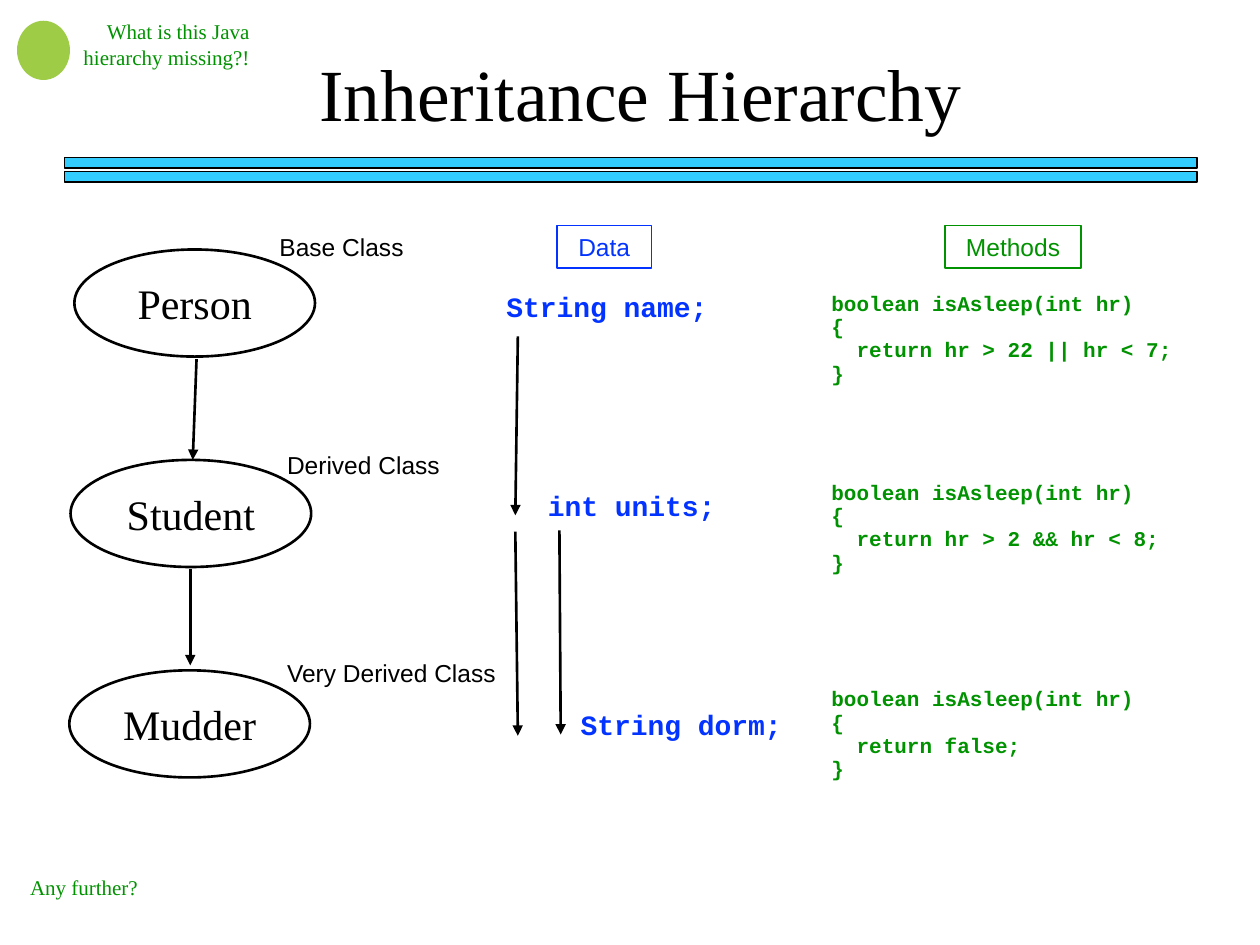
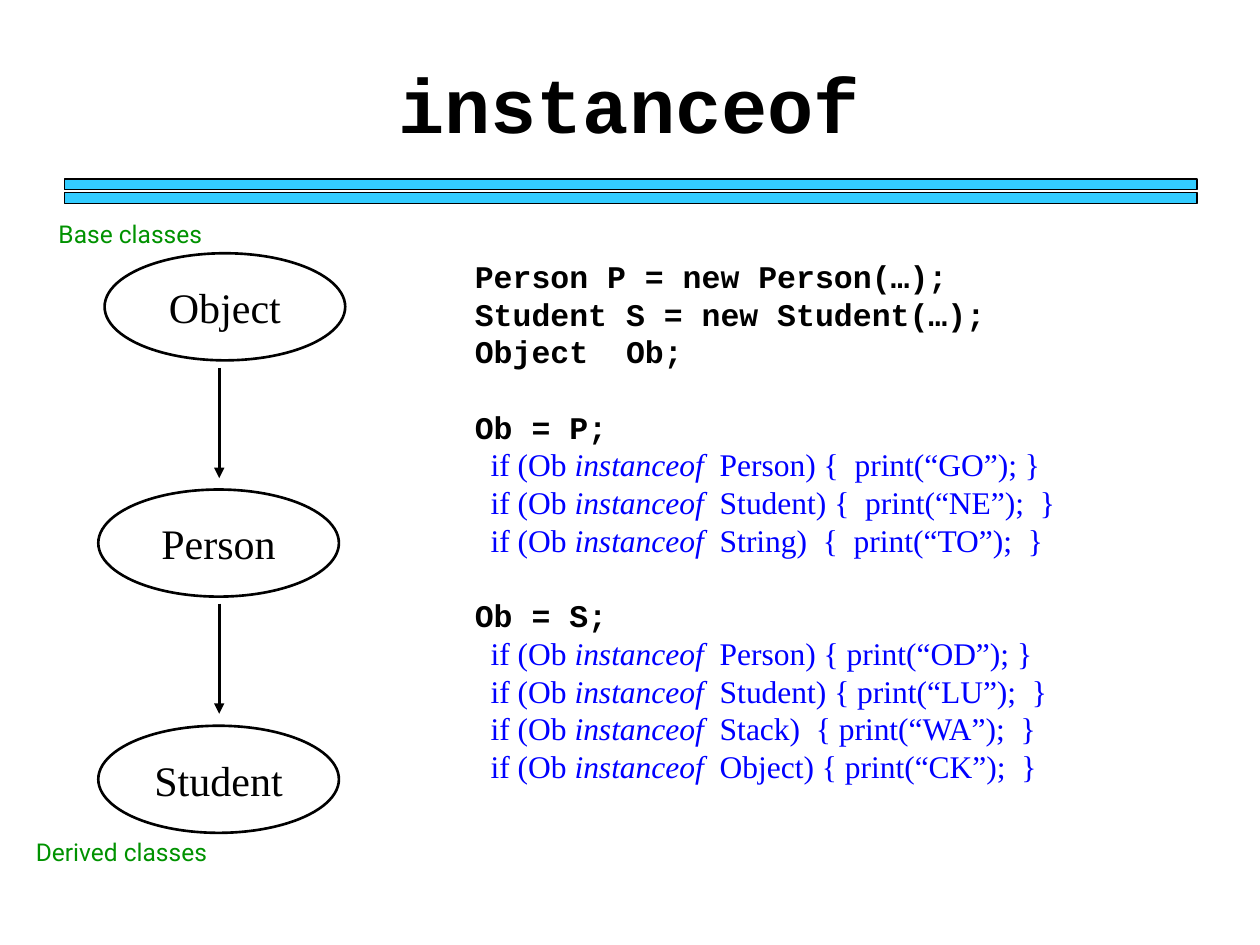
from lxml.etree import SubElement as sub
from pptx import Presentation
from pptx.dml.color import RGBColor as RGB
from pptx.enum.shapes import MSO_CONNECTOR as LINK, MSO_SHAPE as SHAPE
from pptx.enum.text import MSO_ANCHOR as ANCHOR, PP_ALIGN as ALIGN
from pptx.oxml.ns import qn
from pptx.util import Inches, Pt

BLACK = RGB(0x00, 0x00, 0x00)
SKY = RGB(0x33, 0xCC, 0xFF)
BLUE = RGB(0x03, 0x33, 0xFF)
PURE = RGB(0x00, 0x00, 0xFF)
GREEN = RGB(0x00, 0x92, 0x00)
LIME = RGB(0x9E, 0xCC, 0x46)

SERIF, SANS, MONO, ROUND = "Times New Roman", "Arial", "Courier New", "Roboto"

# Grid: 100 columns by 75 rows on the slide
prs = Presentation()
prs.slide_width, prs.slide_height = Inches(10), Inches(7.5)
COL, ROW = prs.slide_width / 100, prs.slide_height / 75


def grid(left, top, wide=0, high=0):
    return round(left * COL), round(top * ROW), round(wide * COL), round(high * ROW)


def style(font, name, size, color, bold=False):
    font.name, font.size, font.bold = name, Pt(size), bold
    font.color.rgb = color


def write(frame, text, name, size, color, bold=False, align=ALIGN.LEFT, pitch=None):
    """Fill a frame; pitch is an exact line height in points."""
    frame.word_wrap = True
    frame.text = text
    for par in frame.paragraphs:
        par.alignment = align
        if pitch:
            par.line_spacing = Pt(pitch)
        for run in par.runs:
            style(run.font, name, size, color, bold)


def label(slide, box, text, *look, **more):
    frame = slide.shapes.add_textbox(*grid(*box)).text_frame
    write(frame, text, *look, **more)


def shape(slide, kind, box, fill=None, line=BLACK, width=0.75):
    item = slide.shapes.add_shape(kind, *grid(*box))
    item.shadow.inherit = False
    if fill is None:
        item.fill.background()
    else:
        item.fill.solid()
        item.fill.fore_color.rgb = fill
    item.line.color.rgb = line
    item.line.width = Pt(width)
    return item


def arrow(slide, start, end):
    link = slide.shapes.add_connector(LINK.STRAIGHT, *grid(*start)[:2], *grid(*end)[:2])
    link.line.color.rgb = BLACK
    link.line.width = Pt(1.5)
    sub(link.line._get_or_add_ln(), qn("a:tailEnd"), type="triangle")
    sub(link._element.spPr, qn("a:effectLst"))


def header(slide, box, text, name, size, bold, rule):
    """Title in its box, with the double band starting at row rule."""
    label(slide, box, text, name, size, BLACK, bold, align=ALIGN.CENTER)
    for step in range(2):
        shape(slide, SHAPE.RECTANGLE, (5.1, rule + 1.1 * step, 89.9, 0.85), SKY)


def chain(slide, box, step, names, shifts, links):
    """Ovals set step rows apart, joined by arrows given within the box."""
    left, top, wide, high = box
    for i, (name, shift) in enumerate(zip(names, shifts)):
        spot = (left + shift, top + i * step, wide, high)
        oval = shape(slide, SHAPE.OVAL, spot, width=1.5)
        write(oval.text_frame, name, SERIF, 24, BLACK, align=ALIGN.CENTER)
        oval.text_frame.word_wrap = False
        oval.text_frame.vertical_anchor = ANCHOR.MIDDLE
    for x1, y1, x2, y2 in links:
        arrow(slide, (left + x1, top + y1), (left + x2, top + y2))


def heading(slide, box, text, color):
    tag = shape(slide, SHAPE.RECTANGLE, box, line=color, width=1)
    tag.text_frame.vertical_anchor = ANCHOR.TOP
    write(tag.text_frame, text, SANS, 14, color, align=ALIGN.CENTER)


def data(slide, box):
    """Fields of each class, with arrows for what is passed down."""
    left, top = box
    heading(slide, (left + 5, top, 7.5, 3.4), "Data", BLUE)
    fields = [(0, 4.6, "String name;"), (3.3, 20.4, "int units;"),
              (5.9, 37.8, "String dorm;")]
    for x, y, text in fields:
        label(slide, (left + x, top + y, 22.5, 3.7), text, MONO, 16, BLUE, True)
    for x1, y1, x2, y2 in [(1.9, 8.8, 1.7, 23), (1.7, 24.3, 1.9, 40.5),
                           (5.2, 24.2, 5.3, 40.4)]:
        arrow(slide, (left + x1, top + y1), (left + x2, top + y2))


def methods(slide, box):
    """One version of the method for each class."""
    left, top = box
    heading(slide, (left + 10, top, 10.8, 3.4), "Methods", GREEN)
    for y, value in [(4.8, "hr > 22 || hr < 7"), (19.8, "hr > 2 && hr < 8"),
                     (36.2, "false")]:
        code = f"boolean isAsleep(int hr)\n{{\n  return {value};\n}}"
        label(slide, (left, top + y, 32.5, 7.4), code, MONO, 12, GREEN, True, pitch=13.3)


def tests(slide, box):
    """Declarations, then the checks made after each assignment."""
    groups = [
        ["Person P = new Person(…);", "Student S = new Student(…);", "Object  Ob;"],
        ["Ob = P;", "  Person) {  print(“GO”); }", "  Student) {  print(“NE”);  }",
         "  String)  {  print(“TO”);  }"],
        ["Ob = S;", "  Person) { print(“OD”); }", "  Student) { print(“LU”);  }",
         "  Stack)  { print(“WA”);  }", "  Object) { print(“CK”);  }"],
    ]
    pitch = 21.55
    frame = slide.shapes.add_textbox(*grid(*box)).text_frame
    frame.word_wrap = True
    par = frame.paragraphs[0]
    for g, group in enumerate(groups):
        for i, text in enumerate(group):
            if g or i:
                par = frame.add_paragraph()
            par.line_spacing = Pt(pitch)
            par.space_before = Pt(pitch if g and i == 0 else 0)
            if g == 0 or i == 0:
                par.text = text
                style(par.runs[0].font, MONO, 18, BLACK, True)
                continue
            for part in ("  if (Ob ", "instanceof", text):
                run = par.add_run()
                run.text = part
                style(run.font, SERIF, 18, PURE)
                run.font.italic = part == "instanceof"


def family(slide):
    header(slide, (8.3, 3.3, 85.1, 8), "Inheritance Hierarchy", SERIF, 42, False, 12.5)
    chain(slide, (5.5, 19.8, 19.1, 8.5), 16.7, ["Person", "Student", "Mudder"],
          [0.4, 0.1, 0], [(10.1, 8.7, 9.8, 16.7), (9.6, 25.4, 9.6, 33)])
    for x, y, text in [(21.2, 17.9, "Base Class"), (21.8, 35.2, "Derived Class"),
                       (21.8, 51.7, "Very Derived Class")]:
        label(slide, (x, y, 19.4, 3.4), text, SANS, 14, BLACK)
    data(slide, (39.2, 17.9))
    methods(slide, (65, 17.9))
    # Side questions
    shape(slide, SHAPE.OVAL, (1.4, 1.7, 4.1, 4.6), LIME, LIME)
    label(slide, (2.5, 0.9, 18.3, 5), "What is this Java hierarchy missing?!",
          SERIF, 12, GREEN, align=ALIGN.RIGHT, pitch=14.9)
    label(slide, (1.4, 68.9, 18.3, 3), "Any further?", SERIF, 12, GREEN)


def checks(slide):
    header(slide, (7.4, 4, 85.1, 8.4), "instanceof", MONO, 44, True, 14.2)
    chain(slide, (7.8, 20.1, 19.1, 8.5), 18.75, ["Object", "Person", "Student"],
          [0.5, 0, 0], [(9.6, y, 9.6, y + 8.75) for y in (9.1, 27.8)])
    tests(slide, (36.7, 19.9, 60.8, 46))
    for x, y, text in [(2, 16.9, "Base classes"), (1.3, 65.9, "Derived classes")]:
        label(slide, (x, y, 16.7, 3.4), text, ROUND, 14, GREEN, align=ALIGN.CENTER)


def main():
    for build in (family, checks):
        build(prs.slides.add_slide(prs.slide_layouts[6]))
    prs.save("out.pptx")


if __name__ == "__main__":
    main()
